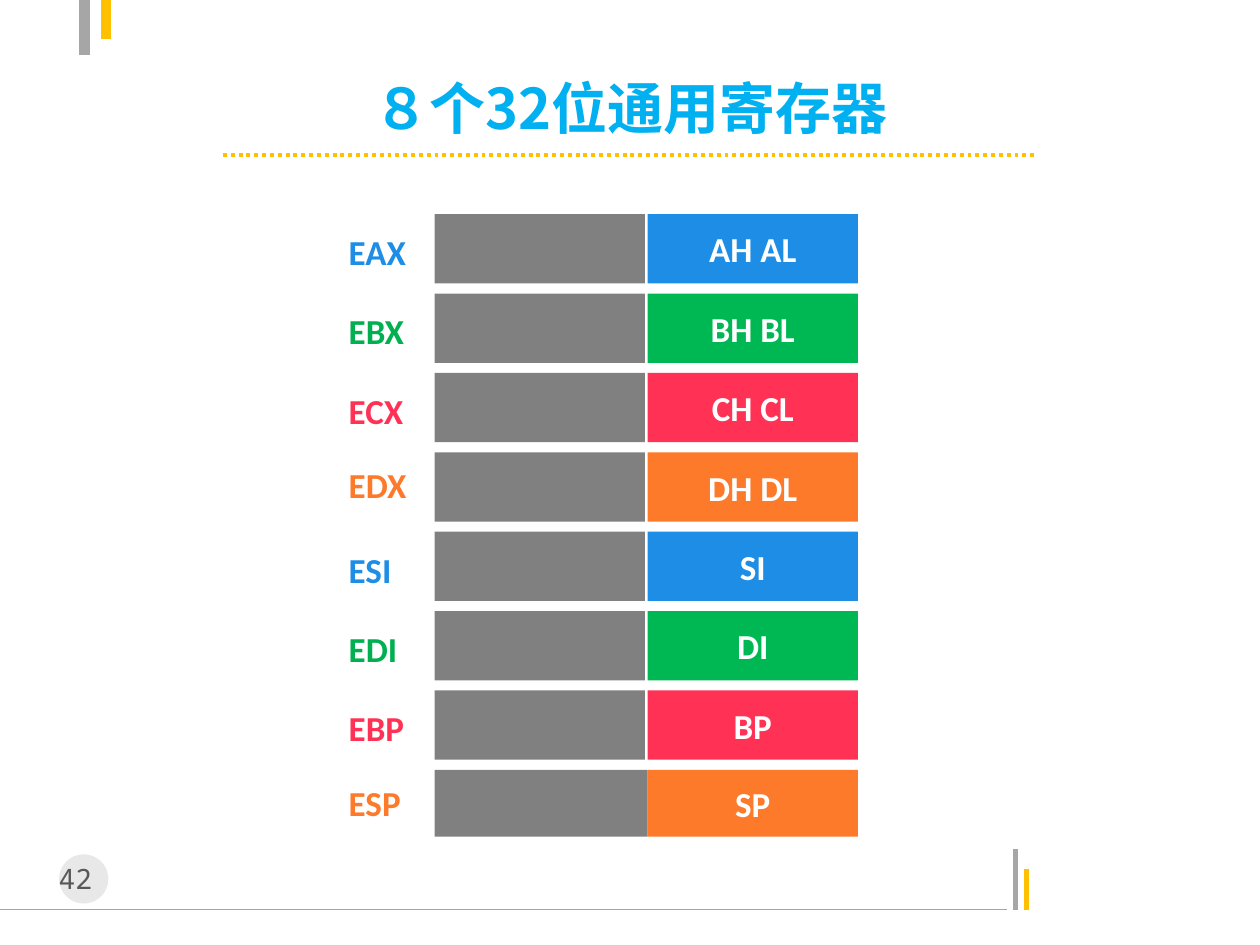
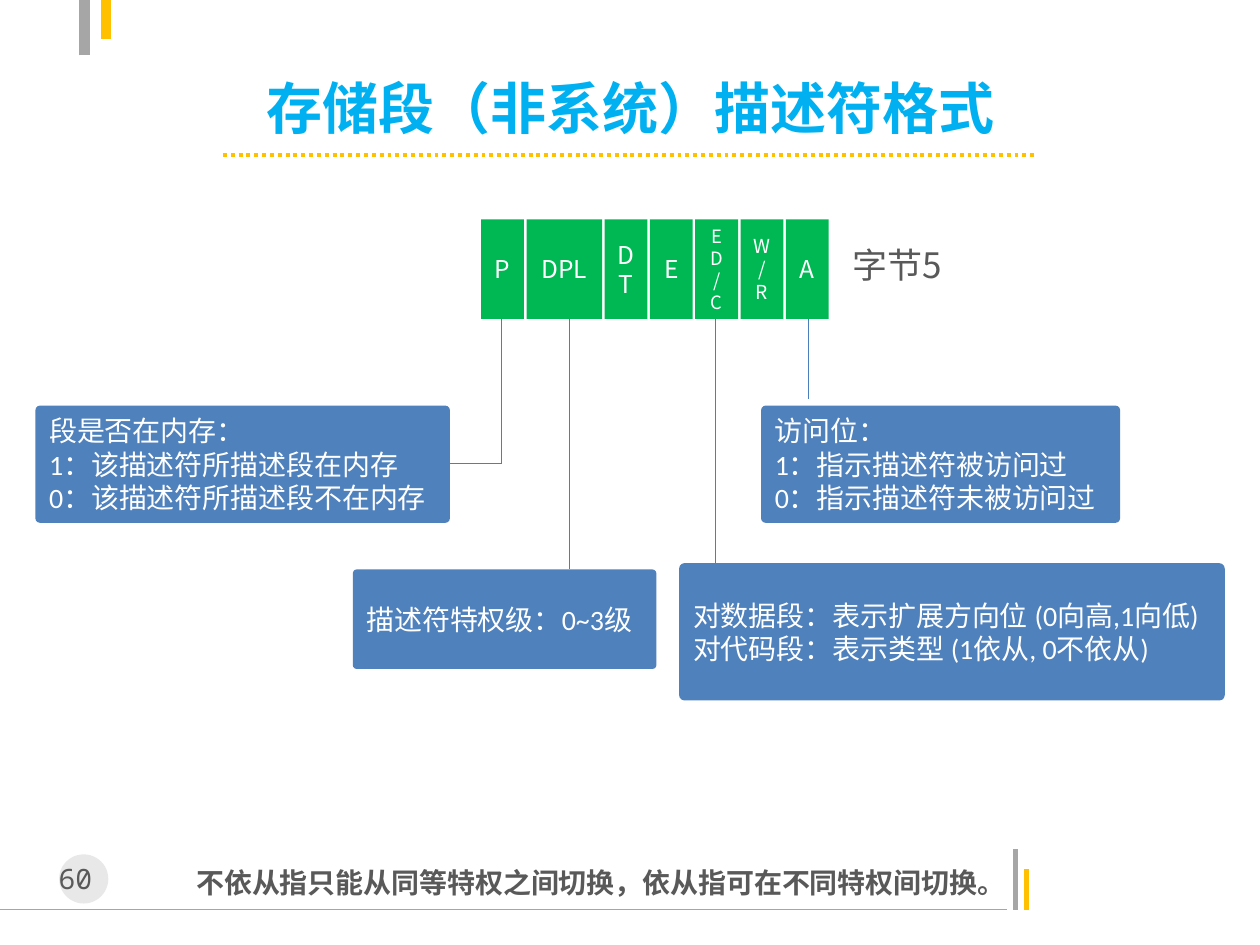
from lxml import etree
from pptx import Presentation
from pptx.dml.color import RGBColor
from pptx.enum.dml import MSO_LINE
from pptx.enum.shapes import MSO_CONNECTOR, MSO_SHAPE
from pptx.enum.text import MSO_ANCHOR, PP_ALIGN
from pptx.oxml.ns import qn
from pptx.util import Pt

RECT = MSO_SHAPE.RECTANGLE
ROUND = MSO_SHAPE.ROUNDED_RECTANGLE
OVAL = MSO_SHAPE.OVAL
STRAIGHT = MSO_CONNECTOR.STRAIGHT
DOTS = MSO_LINE.ROUND_DOT
LEFT = PP_ALIGN.LEFT
CENTER = PP_ALIGN.CENTER
TOP = MSO_ANCHOR.TOP
MIDDLE = MSO_ANCHOR.MIDDLE

WHITE = RGBColor(0xFF, 0xFF, 0xFF)
SILVER = RGBColor(0xBF, 0xBF, 0xBF)
GRAY = RGBColor(0xA6, 0xA6, 0xA6)
SLATE = RGBColor(0x80, 0x80, 0x80)
INK = RGBColor(0x59, 0x59, 0x59)
GOLD = RGBColor(0xFF, 0xC0, 0x00)
SKY = RGBColor(0x00, 0xB0, 0xF0)
BLUE = RGBColor(0x1D, 0x8D, 0xE5)
GREEN = RGBColor(0x00, 0xB8, 0x53)
LEAF = RGBColor(0x00, 0xB0, 0x50)
RED = RGBColor(0xFF, 0x32, 0x55)
ORANGE = RGBColor(0xFD, 0x7A, 0x2A)
STEEL = RGBColor(0x4F, 0x81, 0xBD)
WIRE = RGBColor(0x4B, 0x7E, 0xBC)

SANS = "Noto Sans CJK SC"
MONO = "Noto Sans Mono"
LATIN = "Calibri"


def write(shape, text, size=16, font=SANS, color=INK, bold=False,
          align=LEFT, anchor=TOP, wrap=True, lead=None, after=None):
    frame = shape.text_frame
    frame.word_wrap = wrap
    frame.vertical_anchor = anchor
    for i, line in enumerate(text.split("\n")):
        para = frame.add_paragraph() if i else frame.paragraphs[0]
        para.alignment = align
        if lead:
            para.line_spacing = lead
        if after:
            para.space_after = Pt(after)
        run = para.add_run()
        run.text = line
        run.font.size = Pt(size)
        run.font.name = font
        run.font.bold = bold
        run.font.color.rgb = color
        east = etree.SubElement(run.font._element, qn("a:ea"))
        east.set("typeface", font)


class Deck:
    def __init__(self):
        self.file = Presentation()
        self.file.slide_width = Pt(720)
        self.file.slide_height = Pt(540)
        self.slide = None

    def page(self, title, number):
        self.slide = self.file.slides.add_slide(self.file.slide_layouts[6])
        self.line(0, 519.8, 575.3, 519.8, GRAY)
        self.line(580.3, 519.8, 580.3, 485.3, GRAY, 3)
        self.line(586.8, 519.8, 586.8, 496.8, GOLD, 3)
        self.line(48.2, 31.7, 48.2, 0, GRAY, 6)
        self.line(60.5, 0, 60.5, 22.3, GOLD, 6)
        dot = self.shape(OVAL, 33.8, 488.2, 28.1, 28.1, SILVER)
        tint = dot.fill._xPr.find(".//" + qn("a:srgbClr"))
        etree.SubElement(tint, qn("a:alpha")).set("val", "35000")
        self.text(22.3, 488.9, 51.1, 26.6, f"{number} ", font=MONO, align=CENTER)
        self.text(99.4, 43.2, 522, 36, title, size=32, color=SKY, bold=True,
                  align=CENTER, anchor=MIDDLE)
        self.line(127.4, 88.6, 592.6, 88.6, GOLD, 2.25, DOTS)

    def line(self, x1, y1, x2, y2, color=WIRE, width=0.75, dash=None):
        link = self.slide.shapes.add_connector(
            STRAIGHT, Pt(x1), Pt(y1), Pt(x2), Pt(y2))
        link.line.color.rgb = color
        link.line.width = Pt(width)
        if dash:
            link.line.dash_style = dash
        etree.SubElement(link._element.spPr, qn("a:effectLst"))

    def shape(self, kind, x, y, w, h, fill, text="", **form):
        item = self.slide.shapes.add_shape(kind, Pt(x), Pt(y), Pt(w), Pt(h))
        item.shadow.inherit = False
        item.fill.solid()
        item.fill.fore_color.rgb = fill
        item.line.fill.background()
        if text:
            write(item, text, color=WHITE, anchor=MIDDLE, **form)
        return item

    def text(self, x, y, w, h, text, **form):
        box = self.slide.shapes.add_textbox(Pt(x), Pt(y), Pt(w), Pt(h))
        write(box, text, **form)

    def note(self, x, y, w, h, text):
        card = self.shape(ROUND, x, y, w, h, STEEL, text, font=LATIN)
        card.adjustments[0] = 0.04


def draw_regs(deck):
    deck.page("８个32位通用寄存器", 42)
    regs = [("EAX", "AH AL"), ("EBX", "BH BL"), ("ECX", "CH CL"),
            ("EDX", "DH DL"), ("ESI", "SI"), ("EDI", "DI"),
            ("EBP", "BP"), ("ESP", "SP")]
    fills = [BLUE, GREEN, RED, ORANGE]
    inks = [BLUE, LEAF, RED, ORANGE]
    left, mid, wide = 248.4, 370.1, 120.2
    form = {"size": 20, "font": LATIN, "bold": True}
    for i, (name, low) in enumerate(regs):
        hue = i % 4
        last = i == len(regs) - 1
        y = 122.4 + 45.36 * i
        high = 38.2 if last else 39.6
        lift = 2.9 if hue == 3 else 0
        deck.text(192.2, y + 5.8 - lift, 54, 31.7, name,
                  color=inks[hue], **form)
        deck.shape(RECT, left, y, mid - left if last else wide, high, SLATE)
        deck.shape(RECT, mid, y, wide, high, fills[hue], low,
                   align=CENTER, **form)


def draw_bits(deck):
    deck.page("存储段（非系统）描述符格式", 60)
    deck.text(480.2, 135.4, 67, 31.7, "字节5", size=20)
    x, top, high, gap = 275, 125.3, 56.9, 1.4
    bits = [("P", 14), ("DPL", 14), ("DT", 14), ("E", 14),
            ("ED/C", 10.5), ("W/R", 11), ("A", 14)]
    for name, size in bits:
        wide = 43.2 if name == "DPL" else 24.5
        deck.shape(RECT, x, top, wide, high, GREEN, name,
                   size=size, align=CENTER)
        x += wide + gap

    base = top + high
    for x, end in [(286.6, 265), (325.4, 325.4), (409, 325.4), (462.2, 228.2)]:
        deck.line(x, base, x, end)
    deck.line(256.3, 265, 286.6, 265)

    deck.note(20.2, 231.8, 236.9, 67,
              "段是否在内存：\n1：该描述符所描述段在内存\n0：该描述符所描述段不在内存")
    deck.note(201.6, 325.4, 173.5, 56.9, "描述符特权级：0~3级")
    deck.note(434.9, 231.8, 205.2, 67,
              "访问位：\n1：指示描述符被访问过\n0：指示描述符未被访问过")
    deck.note(388.1, 321.8, 311.8, 78.5,
              "对数据段：表示扩展方向位 (0向高,1向低)\n"
              "对代码段：表示类型 (1依从, 0不依从)")
    deck.text(105.1, 485.3, 468, 32.4,
              "不依从指只能从同等特权之间切换，依从指可在不同特权间切换。",
              bold=True, lead=1.3, after=0.6)


def main():
    deck = Deck()
    draw_regs(deck)
    draw_bits(deck)
    deck.file.save("out.pptx")


if __name__ == "__main__":
    main()
